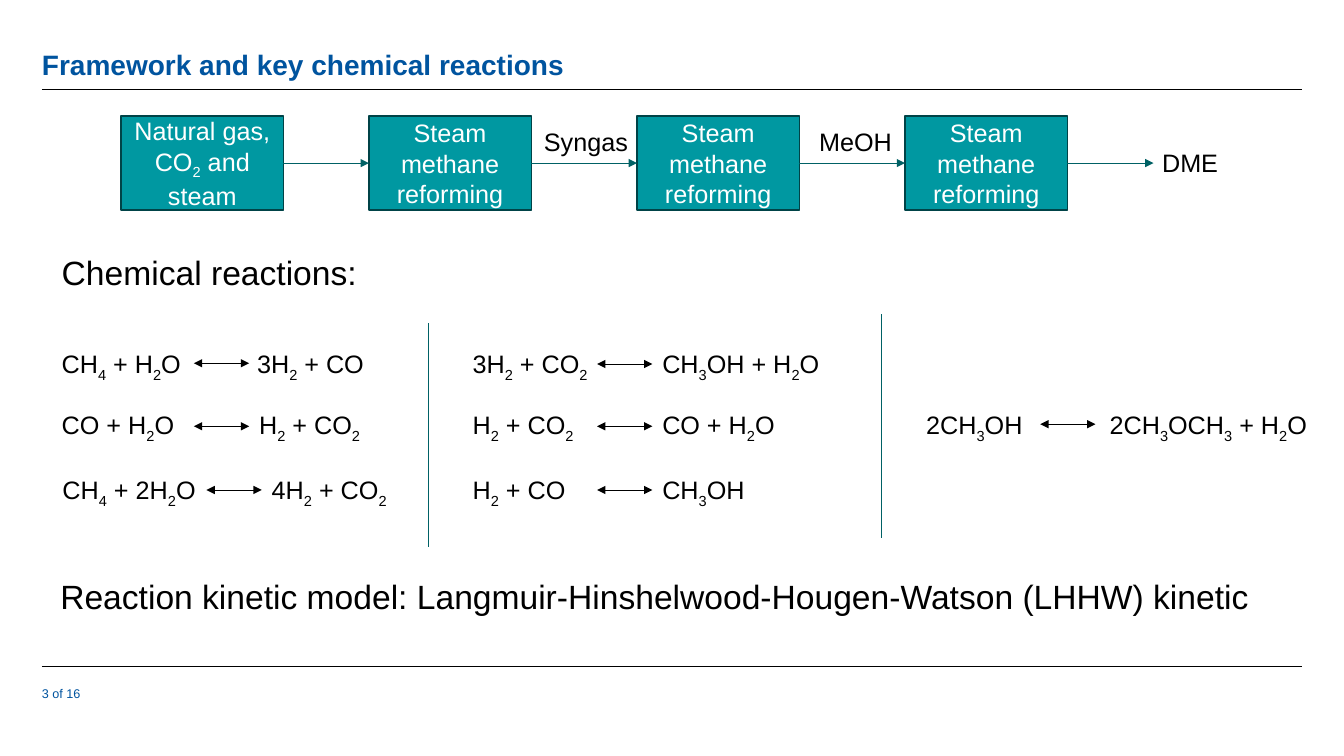
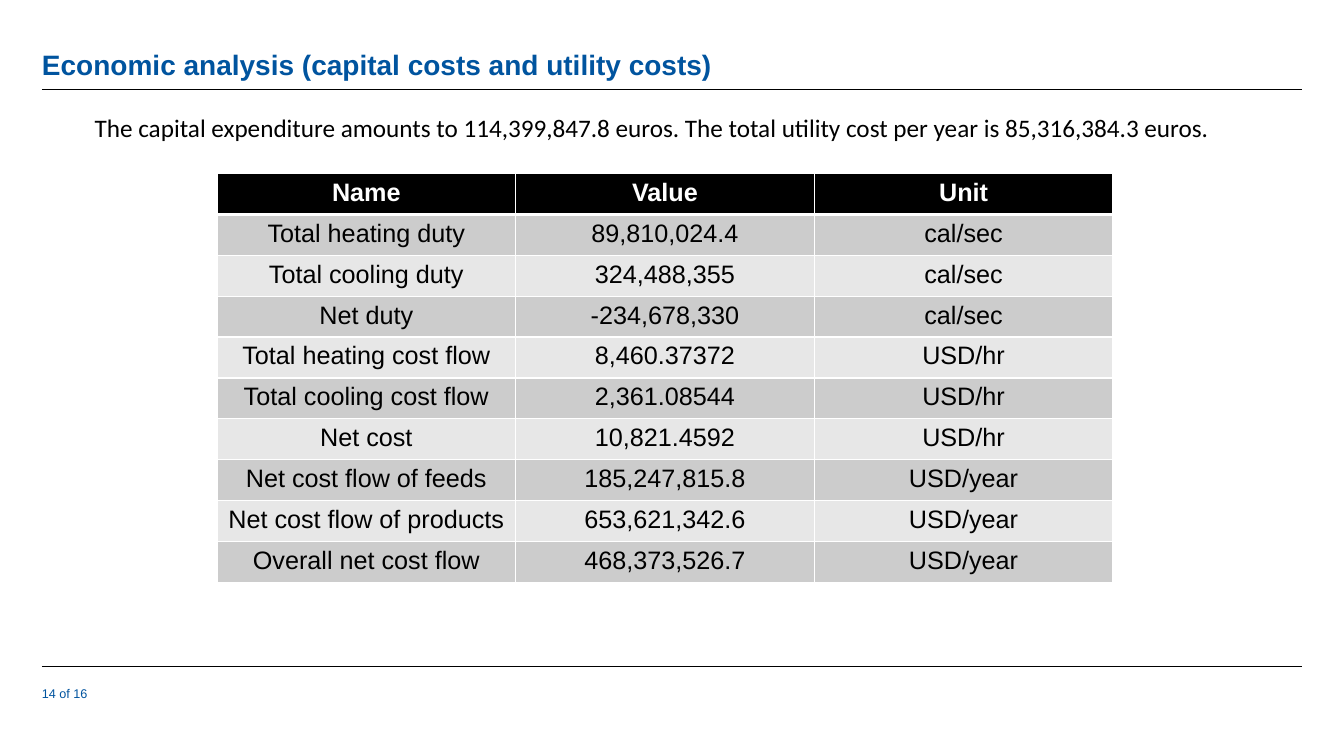
from dataclasses import dataclass

from lxml import etree
from pptx import Presentation
from pptx.dml.color import RGBColor
from pptx.enum.shapes import MSO_CONNECTOR, MSO_SHAPE
from pptx.enum.text import MSO_ANCHOR, MSO_AUTO_SIZE, PP_ALIGN
from pptx.oxml.ns import qn
from pptx.util import Pt

STRAIGHT = MSO_CONNECTOR.STRAIGHT
RECTANGLE = MSO_SHAPE.RECTANGLE
BOTTOM, MIDDLE = MSO_ANCHOR.BOTTOM, MSO_ANCHOR.MIDDLE
GROW = MSO_AUTO_SIZE.SHAPE_TO_FIT_TEXT
CENTER = PP_ALIGN.CENTER
LEFT_SIDE, RIGHT_SIDE = 1, 3


@dataclass(frozen=True)
class Theme:
    font: str = "Arial"
    summary_font: str = "Calibri"
    title: str = "00549F"
    ink: str = "000000"
    paper: str = "FFFFFF"
    step: str = "0098A1"
    step_edge: str = "004347"
    flow: str = "006165"
    bands: tuple = ("CCCCCC", "E7E7E7")
    title_size: float = 20
    heading_size: float = 24
    body_size: float = 18
    footer_size: float = 9
    hairline: float = 0.5


THEME = Theme()
SLIDE_SIZE = (960, 540)
MARGIN, CONTENT_WIDTH = 30, 900
RULE_TOPS = (64, 476)

FRAMEWORK = {"title": "Framework and key chemical reactions", "number": "3 of 16"}
ECONOMICS = {"title": "Economic analysis (capital costs and utility costs)", "number": "14 of 16"}

STEP_TOP, STEP_WIDTH, STEP_HEIGHT = 83, 116, 67
STEPS = [
    (86.5, "Natural gas, CO_2 and steam"),
    (263.5, "Steam methane reforming"),
    (455, "Steam methane reforming"),
    (646.5, "Steam methane reforming"),
]
OUTLET_X = 824
FLOW_LABELS = [
    ("Syngas", 381.5, 87, 75),
    ("MeOH", 578, 87, 67),
    ("DME", 823, 101.5, 55),
]
HEADINGS = [
    ("Chemical reactions:", 37, 176.5, 234),
    ("Reaction kinetic model: Langmuir-Hinshelwood-Hougen-Watson (LHHW) kinetic", 36, 407.5, 873),
]
DIVIDERS = [(306, 231), (629.5, 224.5)]
DIVIDER_HEIGHT = 160

LABEL_HEIGHT, HEADING_HEIGHT = 29, 36
ROW_TOPS = (245.5, 289, 335.5)
ARROW_LENGTH = 39.5
REACTIONS = [
    (0, ("CH_4 + H_2O", 37, 102), (138.5, 259.5), ("3H_2 + CO", 176.5, 96)),
    (1, ("CO + H_2O", 37, 100), (138.5, 304.5), ("H_2 + CO_2", 178, 89)),
    (2, ("CH_4 + 2H_2O", 37.5, 112), (147.5, 350), ("4H_2 + CO_2", 187, 99)),
    (0, ("3H_2 + CO_2", 330.5, 99), (426.5, 260), ("CH_3OH + H_2O", 466, 130)),
    (1, ("H_2 + CO_2", 330.5, 89), (426.5, 304.5), ("CO + H_2O", 466, 100)),
    (2, ("H_2 + CO", 330.5, 82), (426.5, 350), ("CH_3OH", 466, 75)),
    (1, ("2CH_3OH", 654.5, 85), (743, 303), ("2CH_3OCH_3 + H_2O", 785.5, 159)),
]

SUMMARY = (
    "The capital expenditure amounts to 114,399,847.8 euros. "
    "The total utility cost per year is 85,316,384.3 euros."
)
COSTS = [
    ("Name", "Value", "Unit"),
    ("Total heating duty", "89,810,024.4", "cal/sec"),
    ("Total cooling duty", "324,488,355", "cal/sec"),
    ("Net duty", "-234,678,330", "cal/sec"),
    ("Total heating cost flow", "8,460.37372", "USD/hr"),
    ("Total cooling cost flow", "2,361.08544", "USD/hr"),
    ("Net cost", "10,821.4592", "USD/hr"),
    ("Net cost flow of feeds", "185,247,815.8", "USD/year"),
    ("Net cost flow of products", "653,621,342.6", "USD/year"),
    ("Overall net cost flow", "468,373,526.7", "USD/year"),
]
TABLE_LEFT, TABLE_TOP, TABLE_WIDTH, ROW_HEIGHT = 155, 124, 640, 29.2


def rgb(color):
    return RGBColor.from_string(color)


def apply(target, values):
    for name, value in values.items():
        setattr(target, name, value)


def write(frame, text, size=THEME.body_size, color=THEME.ink, font=THEME.font, bold=False, **layout):
    para = frame.paragraphs[0]
    apply(para, layout)
    first, *rest = text.split("_")
    pieces = [(first, False)]
    for part in rest:
        pieces += [(part[:1], True), (part[1:], False)]
    for piece, lowered in pieces:
        if not piece:
            continue
        span = para.add_run()
        span.text = piece
        apply(span.font, {"name": font, "size": Pt(size), "bold": bold})
        span.font.color.rgb = rgb(color)
        if lowered:
            span.font._element.set("baseline", "-25000")


def add_text(page, text, area, frame_format=None, **style):
    box = page.shapes.add_textbox(*map(Pt, area))
    apply(box.text_frame, {"word_wrap": True, **(frame_format or {})})
    write(box.text_frame, text, **style)


def add_label(page, text, left, top, width, height=LABEL_HEIGHT, **style):
    fit = {"word_wrap": False, "auto_size": GROW}
    add_text(page, text, (left, top, width, height), fit, **style)


def add_line(page, start, end, color=THEME.ink, heads=()):
    line = page.shapes.add_connector(STRAIGHT, *map(Pt, (*start, *end)))
    line.line.color.rgb = rgb(color)
    line.line.width = Pt(THEME.hairline)
    outline = line.line._get_or_add_ln()
    for head in heads:
        etree.SubElement(outline, qn(f"a:{head}"), type="triangle")
    etree.SubElement(line._element.spPr, qn("a:effectLst"))
    return line


def add_page(deck, title, number):
    page = deck.slides.add_slide(deck.slide_layouts[6])
    flush = dict.fromkeys(("margin_left", "margin_top", "margin_right", "margin_bottom"), 0)
    for top in RULE_TOPS:
        add_line(page, (MARGIN, top), (MARGIN + CONTENT_WIDTH, top))
    add_text(page, title, (MARGIN, 16, CONTENT_WIDTH, 42), {**flush, "vertical_anchor": BOTTOM},
             size=THEME.title_size, color=THEME.title, bold=True, line_spacing=0.9)
    add_text(page, number, (MARGIN, 490, 77, 31), flush, size=THEME.footer_size, color=THEME.title)
    return page


def add_step(page, left, text):
    box = page.shapes.add_shape(RECTANGLE, *map(Pt, (left, STEP_TOP, STEP_WIDTH, STEP_HEIGHT)))
    box.shadow.inherit = False
    box.fill.solid()
    box.fill.fore_color.rgb = rgb(THEME.step)
    box.line.color.rgb = rgb(THEME.step_edge)
    box.line.width = Pt(1)
    apply(box.text_frame, {"word_wrap": True, "vertical_anchor": MIDDLE})
    write(box.text_frame, text, color=THEME.paper, alignment=CENTER)
    return box


def add_flow(page):
    boxes = [add_step(page, left, text) for left, text in STEPS]
    middle = STEP_TOP + STEP_HEIGHT / 2
    ends = [left for left, _ in STEPS[1:]] + [OUTLET_X]
    for (left, _), end, source, target in zip(STEPS, ends, boxes, boxes[1:] + [None]):
        arrow = add_line(page, (left + STEP_WIDTH, middle), (end, middle), THEME.flow, ("tailEnd",))
        arrow.begin_connect(source, RIGHT_SIDE)
        if target is not None:
            arrow.end_connect(target, LEFT_SIDE)
    for label in FLOW_LABELS:
        add_label(page, *label)


def add_reactions(page):
    for heading in HEADINGS:
        add_label(page, *heading, height=HEADING_HEIGHT, size=THEME.heading_size)
    for x, top in DIVIDERS:
        add_line(page, (x, top), (x, top + DIVIDER_HEIGHT), THEME.flow)
    for row, reactants, (x, y), products in REACTIONS:
        for text, left, width in (reactants, products):
            add_label(page, text, left, ROW_TOPS[row], width)
        add_line(page, (x, y), (x + ARROW_LENGTH, y), heads=("headEnd", "tailEnd"))


def set_borders(cell, bottom):
    properties = cell._tc.get_or_add_tcPr()
    widths = {"lnL": 1, "lnR": 1, "lnT": 1, "lnB": bottom}
    for index, (side, width) in enumerate(widths.items()):
        border = etree.Element(qn(f"a:{side}"), w=str(Pt(width)))
        fill = etree.SubElement(border, qn("a:solidFill"))
        etree.SubElement(fill, qn("a:srgbClr"), val=THEME.paper)
        properties.insert(index, border)


def add_costs(page):
    rows, columns = len(COSTS), len(COSTS[0])
    area = (TABLE_LEFT, TABLE_TOP, TABLE_WIDTH, ROW_HEIGHT * rows)
    table = page.shapes.add_table(rows, columns, *map(Pt, area)).table
    for row, values in enumerate(COSTS):
        table.rows[row].height = Pt(ROW_HEIGHT)
        header = row == 0
        for column, value in enumerate(values):
            cell = table.cell(row, column)
            cell.fill.solid()
            cell.fill.fore_color.rgb = rgb(THEME.ink if header else THEME.bands[(row - 1) % 2])
            set_borders(cell, 3 if header else 1)
            write(cell.text_frame, value, color=THEME.paper if header else THEME.ink,
                  bold=header, alignment=CENTER)


def main():
    deck = Presentation()
    deck.slide_width, deck.slide_height = map(Pt, SLIDE_SIZE)
    page = add_page(deck, **FRAMEWORK)
    add_flow(page)
    add_reactions(page)
    page = add_page(deck, **ECONOMICS)
    add_text(page, SUMMARY, (60.5, 77, 890, LABEL_HEIGHT), font=THEME.summary_font)
    add_costs(page)
    deck.save("out.pptx")


if __name__ == "__main__":
    main()
